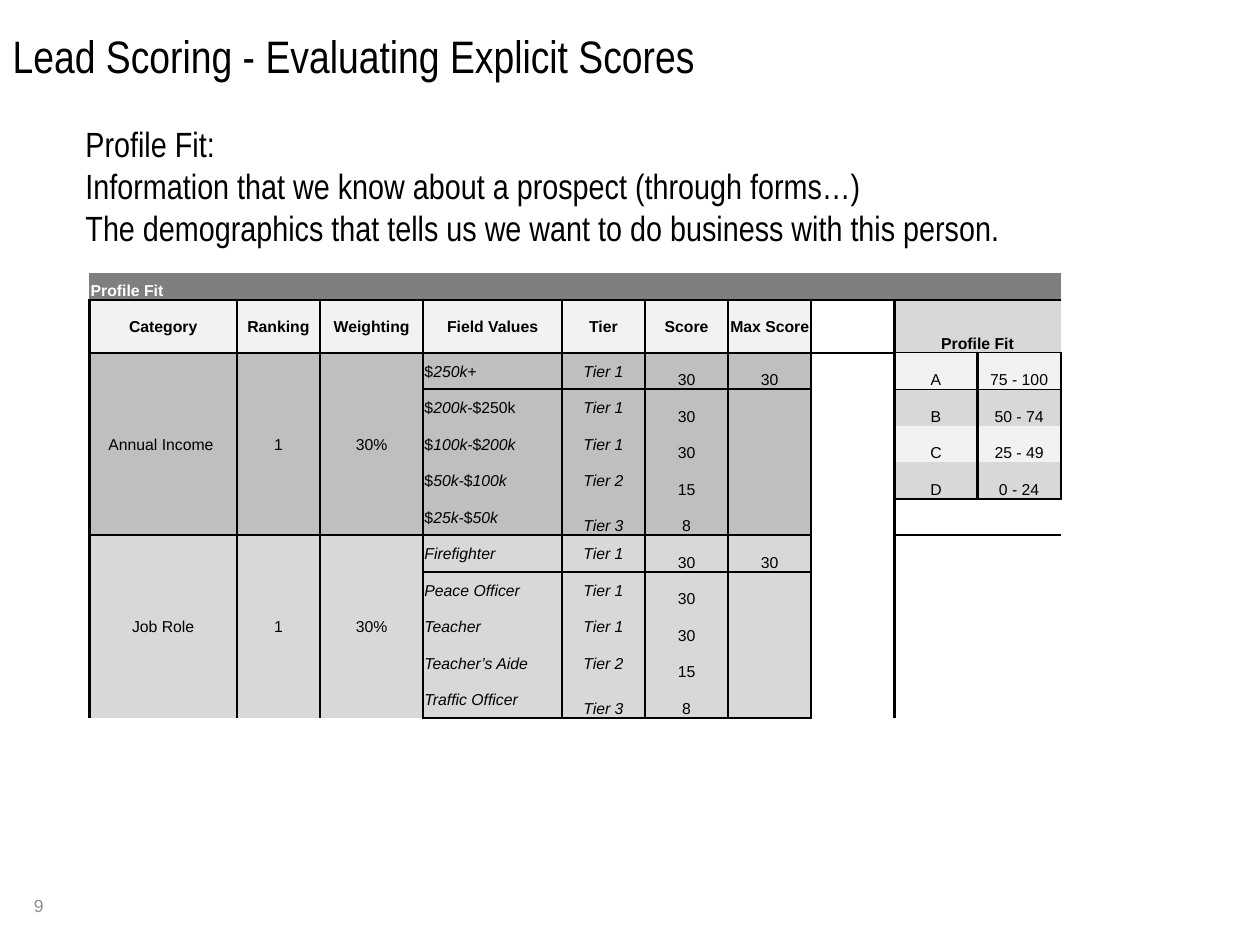
from lxml.etree import SubElement
from pptx import Presentation
from pptx.dml.color import RGBColor
from pptx.enum.text import MSO_ANCHOR, PP_ALIGN
from pptx.oxml.ns import qn
from pptx.util import Inches, Pt

TITLE = "Lead Scoring - Evaluating Explicit Scores"
INTRO = [
    "Profile Fit:",
    "Information that we know about a prospect (through forms…)",
    "The demographics that tells us we want to do business with this person.",
]
SLIDE_NUMBER = "9"
BANNER = "Profile Fit"
HEADERS = ["Category", "Ranking", "Weighting", "Field Values", "Tier", "Score", "Max Score"]
TIERS = [("Tier 1", "30"), ("Tier 1", "30"), ("Tier 1", "30"), ("Tier 2", "15"), ("Tier 3", "8")]
# Field values alternate between upright and italic runs.
GROUPS = [
    {"summary": ["Annual Income ", "1", "30%"], "max": "30", "fill": "group_dark",
     "values": [("$", "250k+"), ("$", "200k-", "$250k"), ("$", "100k-", "$", "200k"),
                ("$", "50k-", "$", "100k"), ("$", "25k-", "$", "50k")]},
    {"summary": ["Job Role", "1", "30%"], "max": "30", "fill": "shade",
     "values": [("", "Firefighter"), ("", "Peace Officer"), ("", "Teacher"),
                ("", "Teacher’s Aide"), ("", "Traffic Officer")]},
]
GRADES = [("A", "75 - 100"), ("B", "50 - 74"), ("C", "25 - 49"), ("D", "0 - 24")]

THEME = {
    "heading_font": "Arial Narrow", "table_font": "Arial",
    "title": 26, "intro": 20, "table": 9, "number": 10,
    "text": "000000", "inverse": "FFFFFF", "muted": "8C8C8C",
    "banner": "7F7F7F", "light": "F2F2F2", "shade": "D8D8D8", "group_dark": "BFBFBF",
    "thick": 1.5, "thin": 0.5,
}
COLUMN_WIDTHS = [1.17, 0.66, 0.82, 1.1] + [0.66] * 6
ROW_HEIGHTS = [0.21, 0.42] + [0.29] * 10
FIRST_GROUP_ROW, GROUP_SIZE = 2, len(TIERS)
VALUE_COLUMN, TIER_COLUMN, SCORE_COLUMN, MAX_COLUMN, GRADE_COLUMN = 3, 4, 5, 6, 8
LAST_COLUMN = len(COLUMN_WIDTHS) - 1
NO_STYLE = "{2D5ABB26-0587-4C30-8999-92F81FD0307C}"


def set_attributes(target, values):
    for name, value in values.items():
        setattr(target, name, value)


def add_run(paragraph, text, font, size, color="text", **styles):
    run = paragraph.add_run()
    run.text = text
    set_attributes(run.font, {"name": THEME[font], "size": Pt(THEME[size]), **styles})
    run.font.color.rgb = RGBColor.from_string(THEME[color])


def fill_frame(frame, lines, font, size, color="text", anchor=MSO_ANCHOR.TOP):
    set_attributes(frame, {"word_wrap": True, "vertical_anchor": anchor})
    for index, line in enumerate(lines):
        paragraph = frame.add_paragraph() if index else frame.paragraphs[0]
        paragraph.alignment = PP_ALIGN.LEFT
        add_run(paragraph, line, font, size, color)


def add_text_box(slide, box, *text_format):
    shape = slide.shapes.add_textbox(*map(Inches, box))
    fill_frame(shape.text_frame, *text_format)


def write_cell(cell, runs, anchor=MSO_ANCHOR.BOTTOM, alignment=PP_ALIGN.CENTER, color="text", bold=False):
    """Write (text, italic) runs into a cell."""
    cell.vertical_anchor = anchor
    paragraph = cell.text_frame.paragraphs[0]
    paragraph.alignment = alignment
    for text, italic in runs:
        if text:
            add_run(paragraph, text, "table_font", "table", color, bold=bold, italic=italic)


def fill_cells(table, top, left, bottom, right, color):
    for row in range(top, bottom + 1):
        for column in range(left, right + 1):
            fill = table.cell(row, column).fill
            fill.solid()
            fill.fore_color.rgb = RGBColor.from_string(THEME[color])


def outline(borders, top, left, bottom, right):
    """Record a thick frame on both cells that share each edge."""
    for row in range(top, bottom + 1):
        for edge in [(row, left, "L"), (row, left - 1, "R"), (row, right, "R"), (row, right + 1, "L")]:
            borders[edge] = THEME["thick"]
    for column in range(left, right + 1):
        for edge in [(top, column, "T"), (top - 1, column, "B"), (bottom, column, "B"), (bottom + 1, column, "T")]:
            borders[edge] = THEME["thick"]


def collect_borders():
    borders = {}
    for column in range(LAST_COLUMN + 1):
        borders[0, column, "B"] = borders[1, column, "T"] = THEME["thick"]
    bands = [(1, 1)]
    for index in range(len(GROUPS)):
        top = FIRST_GROUP_ROW + index * GROUP_SIZE
        bands.append((top, top + GROUP_SIZE - 1))
    for top, bottom in bands:
        for column in range(len(HEADERS)):
            outline(borders, top, column, bottom, column)
    outline(borders, 1, GRADE_COLUMN, FIRST_GROUP_ROW + len(GRADES) - 1, LAST_COLUMN)
    for column in (GRADE_COLUMN, LAST_COLUMN):
        borders[1, column, "B"] = borders[2, column, "T"] = THEME["thin"]
    return borders


def draw_borders(table, borders):
    for row in range(len(ROW_HEIGHTS)):
        for column in range(len(COLUMN_WIDTHS)):
            properties = table.cell(row, column)._tc.get_or_add_tcPr()
            for side in "LRTB":
                width = borders.get((row, column, side))
                if width:
                    line = SubElement(properties, qn(f"a:ln{side}"), w=str(Pt(width)))
                    SubElement(SubElement(line, qn("a:solidFill")), qn("a:srgbClr"), val=THEME["text"])


def prepare_table(slide):
    shape = slide.shapes.add_table(len(ROW_HEIGHTS), len(COLUMN_WIDTHS), Inches(0.71), Inches(2.17),
                                   Inches(sum(COLUMN_WIDTHS)), Inches(sum(ROW_HEIGHTS)))
    table = shape.table
    set_attributes(table, {"first_row": False, "horz_banding": False})
    table._tbl.tblPr.find(qn("a:tableStyleId")).text = NO_STYLE
    for column, width in zip(table.columns, COLUMN_WIDTHS):
        column.width = Inches(width)
    for row, height in zip(table.rows, ROW_HEIGHTS):
        row.height = Inches(height)
    margin = Inches(0.01)
    for cell in table.iter_cells():
        set_attributes(cell, {"margin_left": margin, "margin_right": margin,
                              "margin_top": margin, "margin_bottom": 0})
        SubElement(cell.text_frame.paragraphs[0]._p, qn("a:endParaRPr"), sz=str(THEME["table"] * 100))
    return table


def write_group(table, top, group):
    bottom = top + GROUP_SIZE - 1
    middle = MSO_ANCHOR.MIDDLE
    fill_cells(table, top, 0, bottom, MAX_COLUMN, group["fill"])
    for column, text in enumerate(group["summary"]):
        table.cell(top, column).merge(table.cell(bottom, column))
        write_cell(table.cell(top, column), [(text, False)], middle)
    for row, (parts, (tier, score)) in enumerate(zip(group["values"], TIERS), top):
        runs = [(part, index % 2 == 1) for index, part in enumerate(parts)]
        write_cell(table.cell(row, VALUE_COLUMN), runs, middle, PP_ALIGN.LEFT)
        write_cell(table.cell(row, TIER_COLUMN), [(tier, True)], MSO_ANCHOR.BOTTOM if row == bottom else middle)
        write_cell(table.cell(row, SCORE_COLUMN), [(score, False)])
    write_cell(table.cell(top, MAX_COLUMN), [(group["max"], False)])


def add_score_table(slide):
    table = prepare_table(slide)
    draw_borders(table, collect_borders())

    fill_cells(table, 0, 0, 0, LAST_COLUMN, "banner")
    table.cell(0, 0).merge(table.cell(0, LAST_COLUMN))
    write_cell(table.cell(0, 0), [(BANNER, False)], alignment=PP_ALIGN.LEFT, color="inverse", bold=True)

    fill_cells(table, 1, 0, 1, MAX_COLUMN, "light")
    for column, text in enumerate(HEADERS):
        write_cell(table.cell(1, column), [(text, False)], MSO_ANCHOR.MIDDLE, bold=True)

    for index, group in enumerate(GROUPS):
        write_group(table, FIRST_GROUP_ROW + index * GROUP_SIZE, group)

    fill_cells(table, 1, GRADE_COLUMN, 1, LAST_COLUMN, "shade")
    table.cell(1, GRADE_COLUMN).merge(table.cell(1, LAST_COLUMN))
    write_cell(table.cell(1, GRADE_COLUMN), [(BANNER, False)], bold=True)
    for index, grade in enumerate(GRADES):
        row = FIRST_GROUP_ROW + index
        fill_cells(table, row, GRADE_COLUMN, row, LAST_COLUMN, "shade" if index % 2 else "light")
        for column, text in enumerate(grade, GRADE_COLUMN):
            write_cell(table.cell(row, column), [(text, False)])


def main():
    presentation = Presentation()
    set_attributes(presentation, {"slide_width": Inches(10), "slide_height": Inches(7.5)})
    slide = presentation.slides.add_slide(presentation.slide_layouts[5])
    title = slide.shapes.title
    set_attributes(title, {"left": 0, "top": Inches(0.17), "width": Inches(10), "height": Inches(0.75)})
    fill_frame(title.text_frame, [TITLE], "heading_font", "title")
    add_text_box(slide, (0.58, 0.92, 9.42, 1.11), INTRO, "heading_font", "intro")
    add_text_box(slide, (0.17, 6.99, 0.54, 0.4), [SLIDE_NUMBER], "table_font", "number", "muted", MSO_ANCHOR.MIDDLE)
    add_score_table(slide)
    presentation.save("out.pptx")


if __name__ == "__main__":
    main()
